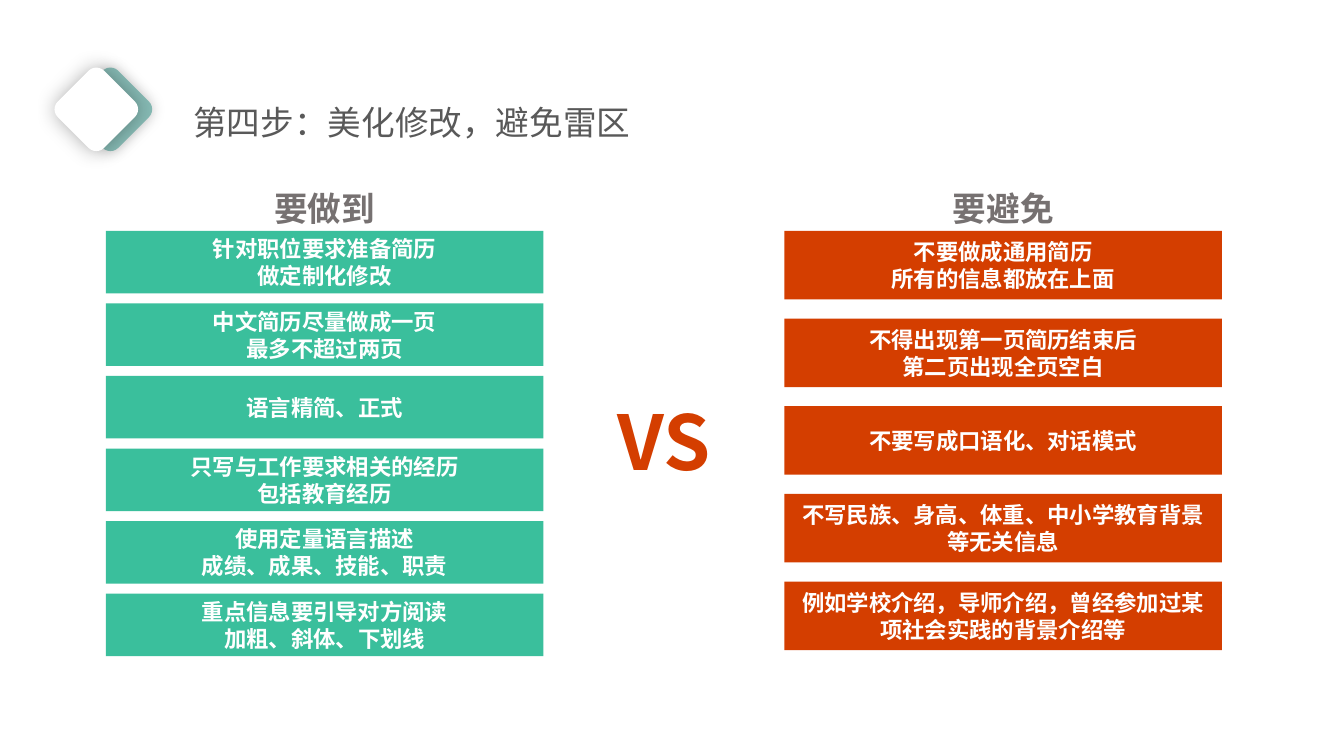
from lxml import etree
from pptx import Presentation
from pptx.dml.color import RGBColor
from pptx.enum.shapes import MSO_SHAPE
from pptx.enum.text import MSO_ANCHOR, PP_ALIGN
from pptx.oxml.ns import qn
from pptx.util import Inches, Pt

RECT, ROUNDED = MSO_SHAPE.RECTANGLE, MSO_SHAPE.ROUNDED_RECTANGLE
LEFT, CENTER = PP_ALIGN.LEFT, PP_ALIGN.CENTER
TOP, MIDDLE = MSO_ANCHOR.TOP, MSO_ANCHOR.MIDDLE

WHITE = RGBColor(0xFF, 0xFF, 0xFF)
GREEN = RGBColor(0x3A, 0xBF, 0x9C)
RED = RGBColor(0xD4, 0x3E, 0x00)
SAGE = RGBColor(0x86, 0xBA, 0xB4)
TITLE_GREY = RGBColor(0x59, 0x59, 0x59)
HEAD_GREY = RGBColor(0x76, 0x71, 0x71)

CJK = "Noto Sans CJK SC"
COLUMN_TOP, COLUMN_WIDTH = 2.29, 4.34
HEAD_WIDTH, HEAD_HEIGHT = 2.52, 0.5

DOS = [
    ["针对职位要求准备简历", "做定制化修改"],
    ["中文简历尽量做成一页", "最多不超过两页"],
    ["语言精简、正式"],
    ["只写与工作要求相关的经历", "包括教育经历"],
    ["使用定量语言描述", "成绩、成果、技能、职责"],
    ["重点信息要引导对方阅读", "加粗、斜体、下划线"],
]
DONTS = [
    ["不要做成通用简历", "所有的信息都放在上面"],
    ["不得出现第一页简历结束后", "第二页出现全页空白"],
    ["不要写成口语化、对话模式"],
    ["不写民族、身高、体重、中小学教育背景等无关信息"],
    ["例如学校介绍，导师介绍，曾经参加过某项社会实践的背景介绍等"],
]


def write(sp, lines, size, color, font=CJK, bold=True, align=CENTER,
          anchor=TOP, spacing=None):
    tf = sp.text_frame
    tf.word_wrap = True
    tf.vertical_anchor = anchor
    for i, line in enumerate(lines):
        p = tf.paragraphs[0] if i == 0 else tf.add_paragraph()
        p.text = line
        p.alignment = align
        p.line_spacing = spacing
        p.font.size, p.font.bold, p.font.name = Pt(size), bold, font
        p.font.color.rgb = color
        props = p._p.pPr.find(qn("a:defRPr"))
        props.find(qn("a:latin")).addnext(
            etree.Element(qn("a:ea"), typeface=CJK))


def add_text(slide, box, text, size, color, **style):
    sp = slide.shapes.add_textbox(*map(Inches, box))
    write(sp, [text], size, color, **style)


def add_block(slide, kind, box, color):
    sp = slide.shapes.add_shape(kind, *map(Inches, box))
    sp.shadow.inherit = False
    sp.fill.solid()
    sp.fill.fore_color.rgb = color
    sp.line.fill.background()
    return sp


def add_glow(sp, blur, opacity):
    """Give the shape a soft black shadow on all sides."""
    effects = sp._element.spPr.find(qn("a:effectLst"))
    shadow = etree.SubElement(effects, qn("a:outerShdw"), blurRad=str(Pt(blur)),
                              dist="0", dir="0", algn="ctr", rotWithShape="0")
    black = etree.SubElement(shadow, qn("a:srgbClr"), val="000000")
    etree.SubElement(black, qn("a:alpha"), val=str(opacity * 1000))


def add_header(slide, left, top):
    side = 0.65
    for offset, color, blur, opacity in ((0.14, SAGE, 10, 20),
                                         (0, WHITE, 15, 30)):
        sp = add_block(slide, ROUNDED, (left + offset, top, side, side), color)
        sp.rotation = 45
        add_glow(sp, blur, opacity)
    add_text(slide, (left + 1.19, top, 8.93, 0.71), "第四步：美化修改，避免雷区",
             24, TITLE_GREY, font="Calibri", bold=False, align=LEFT, spacing=1.5)


def add_column(slide, left, heading, head_shift, items, color, height, pitch):
    """Place a heading over evenly pitched bars."""
    head_left = left + (COLUMN_WIDTH - HEAD_WIDTH) / 2 + head_shift
    add_text(slide, (head_left, COLUMN_TOP - 0.47, HEAD_WIDTH, HEAD_HEIGHT),
             heading, 24, HEAD_GREY)
    for i, lines in enumerate(items):
        box = (left, COLUMN_TOP + i * pitch, COLUMN_WIDTH, height)
        write(add_block(slide, RECT, box, color), lines, 16, WHITE,
              anchor=MIDDLE)


def main():
    prs = Presentation()
    prs.slide_width, prs.slide_height = Inches(13.33), Inches(7.5)
    slide = prs.slides.add_slide(prs.slide_layouts[6])
    do_left, dont_left = 1.05, 7.78
    do_right = do_left + COLUMN_WIDTH
    add_header(slide, 0.63, 0.76)
    add_column(slide, do_left, "要做到", 0, DOS, GREEN, 0.62, 0.72)
    add_column(slide, dont_left, "要避免", 0, DONTS, RED, 0.68, 0.87)
    add_text(slide, (do_right, 3.87, dont_left - do_right, 1.01), "VS", 54, RED)
    prs.save("out.pptx")


if __name__ == "__main__":
    main()
